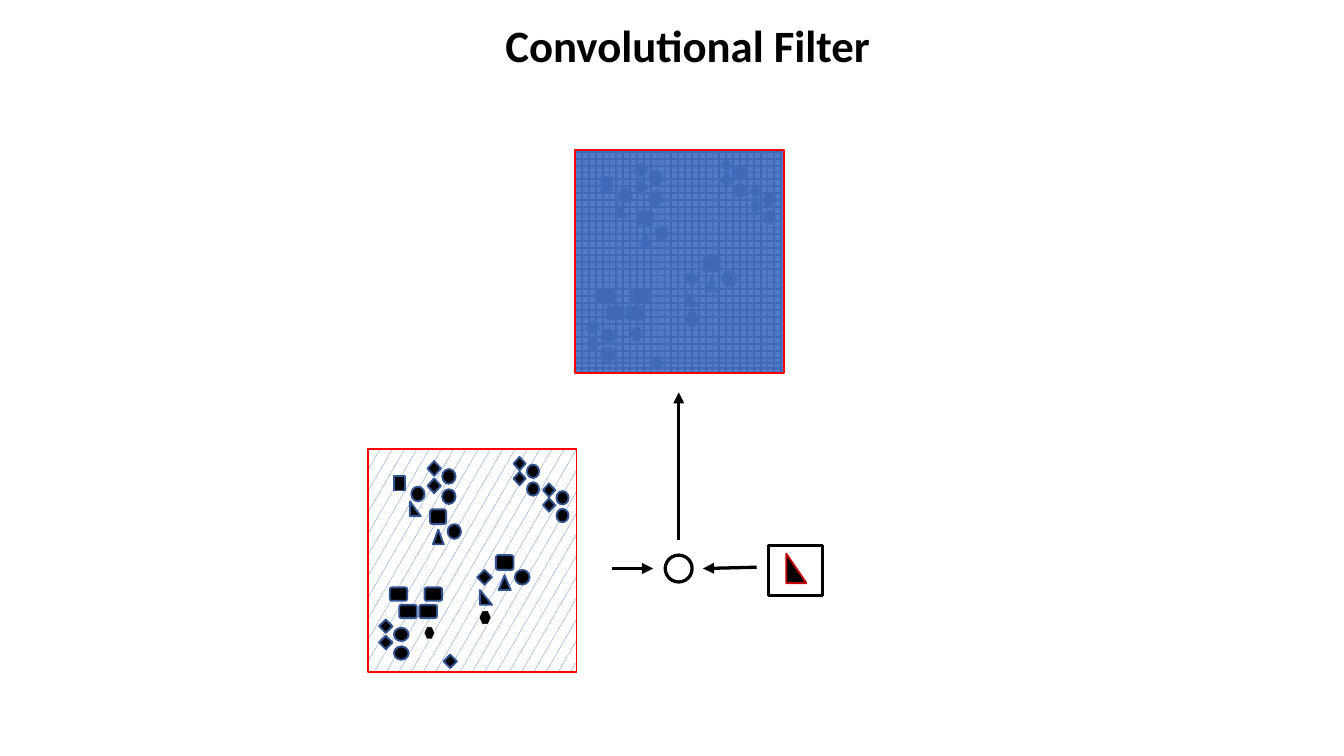
from dataclasses import dataclass
from typing import Optional

import pptx
import pptx.dml.color
import pptx.enum.dml
import pptx.enum.shapes
import pptx.enum.text
import pptx.oxml
import pptx.oxml.ns
import pptx.util

Pt = pptx.util.Pt
RGBColor = pptx.dml.color.RGBColor
Kind = pptx.enum.shapes.MSO_SHAPE

BLACK = RGBColor(0x00, 0x00, 0x00)
WHITE = RGBColor(0xFF, 0xFF, 0xFF)
RED = RGBColor(0xFF, 0x00, 0x00)
DARK_RED = RGBColor(0xC0, 0x00, 0x00)
BLUE = RGBColor(0x44, 0x72, 0xC4)
NAVY = RGBColor(0x32, 0x54, 0x91)
PALE = RGBColor(0xF2, 0xF2, 0xF2)

MAP_WIDTH, MAP_HEIGHT = 111.6, 119.5
INPUT_LEFT, INPUT_TOP = 197.3, 240.5
OUTPUT_LEFT, OUTPUT_TOP = 308.2, 80.6
GRID_STEP = 3.68


@dataclass(frozen=True)
class Mark:
    kind: Kind
    left: float
    top: float
    width: float = 7.2
    height: float = 7.9


@dataclass(frozen=True)
class Arrow:
    start_x: float
    start_y: float
    end_x: float
    end_y: float


def small_cluster(left: float, top: float) -> list[Mark]:
    return [
        Mark(Kind.DIAMOND, left, top, 6.5, 7.2),
        Mark(Kind.DIAMOND, left, top + 8, 6.5, 7.2),
        Mark(Kind.OVAL, left + 7.2, top + 4.1, 6.5, 7.2),
        Mark(Kind.OVAL, left + 7.2, top + 13.6, 6.5, 7.2),
    ]


MARKS = [
    Mark(Kind.DIAMOND, 31.7, 6.5),
    Mark(Kind.DIAMOND, 31.7, 15.8),
    Mark(Kind.OVAL, 39.6, 10.8),
    Mark(Kind.OVAL, 39.6, 21.6),
    Mark(Kind.RECTANGLE, 13.7, 14.4, 5.8),
    Mark(Kind.OVAL, 23, 20.2),
    Mark(Kind.RIGHT_TRIANGLE, 22.3, 28.1, 5.8),
    Mark(Kind.ROUNDED_RECTANGLE, 33.1, 32.4, 8.6),
    Mark(Kind.ISOSCELES_TRIANGLE, 34.6, 43.2, 5.8),
    Mark(Kind.OVAL, 42.5, 40.3),
    Mark(Kind.ROUNDED_RECTANGLE, 68.4, 56.9, 9.4),
    Mark(Kind.ISOSCELES_TRIANGLE, 69.8, 67.7, 6.5),
    Mark(Kind.OVAL, 78.5, 64.8, 7.9),
    Mark(Kind.DIAMOND, 58.3, 64.8, 7.9),
    Mark(Kind.RIGHT_TRIANGLE, 59.8, 75.6, 6.5),
    Mark(Kind.HEXAGON, 59, 86.4),
    Mark(Kind.ROUNDED_RECTANGLE, 11.5, 74.2, 9.4, 7.2),
    Mark(Kind.ROUNDED_RECTANGLE, 16.6, 83.5, 9.4, 7.2),
    Mark(Kind.ROUNDED_RECTANGLE, 27.4, 83.5, 9.4, 7.2),
    Mark(Kind.ROUNDED_RECTANGLE, 30.2, 74.2, 9.4, 7.2),
    Mark(Kind.DIAMOND, 5.8, 91.4, 7.2, 7.2),
    Mark(Kind.DIAMOND, 5.8, 100.1, 7.2, 7.2),
    Mark(Kind.OVAL, 13.7, 95.8, 7.9, 7.2),
    Mark(Kind.OVAL, 13.7, 105.8, 7.9, 7.2),
    Mark(Kind.HEXAGON, 29.5, 95, 6.5, 7.2),
    Mark(Kind.DIAMOND, 40.3, 110.2, 7.2, 7.2),
    *small_cluster(77.8, 4.3),
    *small_cluster(93.6, 18.5),
]

ARROWS = [
    Arrow(327.6, 304.6, 349.9, 304.6),
    Arrow(405.4, 303.9, 376.6, 304.6),
    Arrow(363.6, 289.4, 363.6, 210.2),
]


def draw_shape(slide, mark: Mark, fill: Optional[RGBColor] = None,
               outline: Optional[RGBColor] = None, weight: float = 1):
    shape = slide.shapes.add_shape(mark.kind, Pt(mark.left), Pt(mark.top),
                                   Pt(mark.width), Pt(mark.height))
    shape.shadow.inherit = False
    if fill is None:
        shape.fill.background()
    else:
        shape.fill.solid()
        shape.fill.fore_color.rgb = fill
    if outline is None:
        shape.line.fill.background()
    else:
        shape.line.color.rgb = outline
        shape.line.width = Pt(weight)
    return shape


def draw_line(slide, course: Arrow, weight: float = 1, arrowhead: bool = False) -> None:
    connector = slide.shapes.add_connector(
        pptx.enum.shapes.MSO_CONNECTOR.STRAIGHT,
        Pt(course.start_x), Pt(course.start_y), Pt(course.end_x), Pt(course.end_y))
    connector.line.color.rgb = BLACK
    connector.line.width = Pt(weight)
    if arrowhead:
        head = pptx.oxml.parse_xml(
            f'<a:tailEnd {pptx.oxml.ns.nsdecls("a")} type="triangle"/>')
        connector.line._get_or_add_ln().append(head)
    effects = pptx.oxml.parse_xml(f'<a:effectLst {pptx.oxml.ns.nsdecls("a")}/>')
    connector._element.spPr.append(effects)


def draw_marks(slide, left: float, top: float, hexagon_outline: Optional[RGBColor]) -> None:
    for mark in MARKS:
        placed = Mark(mark.kind, left + mark.left, top + mark.top, mark.width, mark.height)
        outline = hexagon_outline if mark.kind == Kind.HEXAGON else NAVY
        draw_shape(slide, placed, BLACK, outline)


def draw_grid(slide) -> None:
    rows = [81.4 + GRID_STEP * index for index in range(31)] + [194.4, 197.3]
    for row in rows:
        draw_line(slide, Arrow(418.3, row, OUTPUT_LEFT, row))
    for index in range(30):
        column = 311.8 + GRID_STEP * index
        draw_line(slide, Arrow(column, OUTPUT_TOP, column, OUTPUT_TOP + MAP_HEIGHT))


def set_opacity(shape, percent: int) -> None:
    color = shape._element.spPr.find(pptx.oxml.ns.qn("a:solidFill"))[0]
    color.append(pptx.oxml.parse_xml(
        f'<a:alpha {pptx.oxml.ns.nsdecls("a")} val="{percent * 1000}"/>'))


def write_text(frame, text: str, *, size: float, color: RGBColor, bold: bool = False,
               font: str = "Calibri") -> None:
    frame.word_wrap = False
    frame.auto_size = pptx.enum.text.MSO_AUTO_SIZE.SHAPE_TO_FIT_TEXT
    frame.vertical_anchor = pptx.enum.text.MSO_ANCHOR.TOP
    paragraph = frame.paragraphs[0]
    paragraph.alignment = pptx.enum.text.PP_ALIGN.LEFT
    run = paragraph.add_run()
    run.text = text
    run.font.name = font
    run.font.size = Pt(size)
    run.font.bold = bold
    run.font.color.rgb = color


def main() -> None:
    deck = pptx.Presentation()
    deck.slide_width, deck.slide_height = Pt(720), Pt(405)
    slide = deck.slides.add_slide(deck.slide_layouts[5])

    title = slide.shapes.title
    title.left, title.top, title.width, title.height = Pt(263.5), Pt(5.8), Pt(211.7), Pt(36)
    write_text(title.text_frame, "Convolutional Filter", size=24, color=BLACK, bold=True)

    input_map = draw_shape(
        slide, Mark(Kind.RECTANGLE, INPUT_LEFT, INPUT_TOP, MAP_WIDTH, MAP_HEIGHT),
        outline=RED)
    input_map.fill.patterned()
    input_map.fill.pattern = pptx.enum.dml.MSO_PATTERN.SMALL_CONFETTI
    input_map.fill.fore_color.rgb = BLUE
    input_map.fill.back_color.rgb = WHITE
    draw_marks(slide, INPUT_LEFT, INPUT_TOP, PALE)

    draw_shape(slide, Mark(Kind.RECTANGLE, 411.8, 292.3, 28.8, 26.6),
               outline=BLACK, weight=1.75)
    draw_shape(slide, Mark(Kind.RIGHT_TRIANGLE, 421.2, 296.6, 10.8, 15.8), BLACK, DARK_RED)
    for arrow in ARROWS:
        draw_line(slide, arrow, 1.75, arrowhead=True)
    draw_shape(slide, Mark(Kind.OVAL, 356.4, 297.4, 14.4, 14.4), outline=BLACK, weight=1.75)

    draw_marks(slide, OUTPUT_LEFT, OUTPUT_TOP, None)
    draw_grid(slide)
    output_map = draw_shape(
        slide, Mark(Kind.RECTANGLE, OUTPUT_LEFT, OUTPUT_TOP, MAP_WIDTH, MAP_HEIGHT), BLUE, RED)
    set_opacity(output_map, 93)

    deck.save("out.pptx")


if __name__ == "__main__":
    main()
